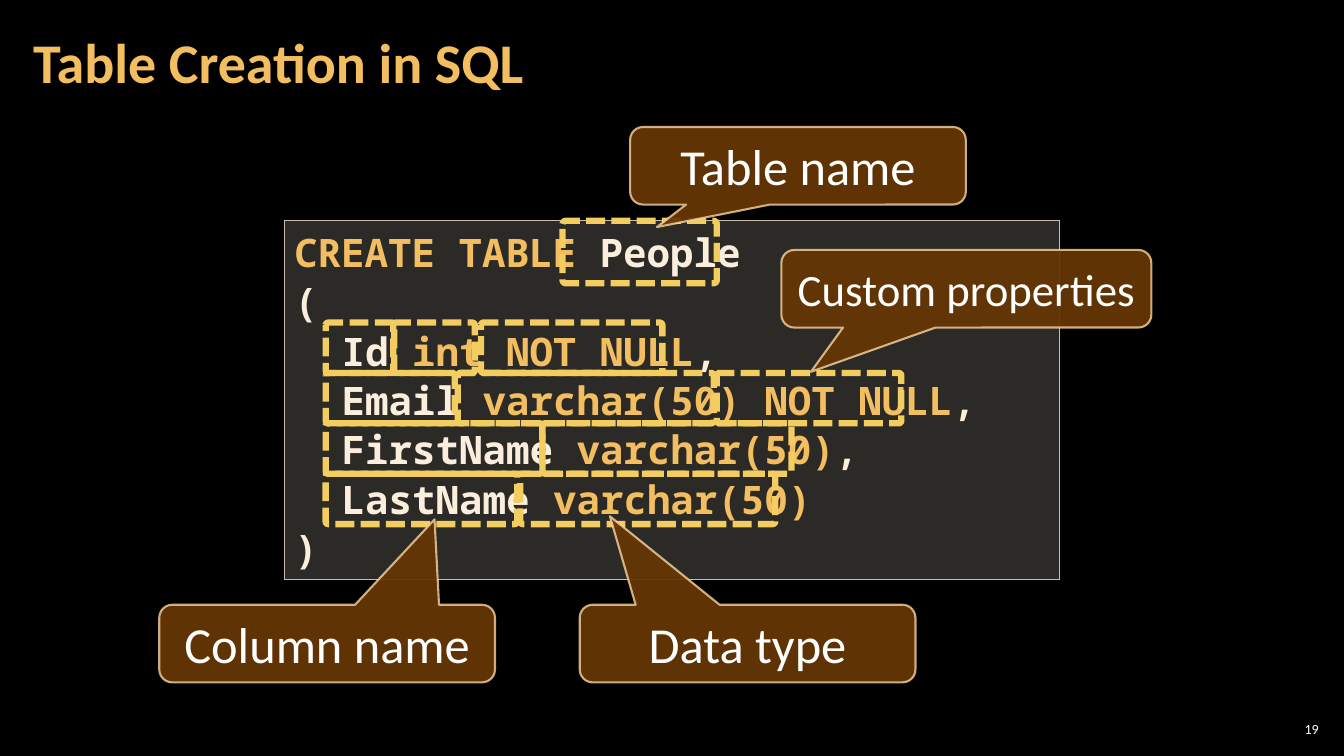
from lxml import etree
from pptx import Presentation, util as u
from pptx.dml.color import RGBColor
from pptx.enum import dml, shapes, text
from pptx.oxml.ns import qn

COLORS = {
    "background": "000000", "white": "FFFFFF", "keyword": "F3BE60",
    "name": "FBEEDC", "panel": "D9D5C7", "panel_line": "C7BFAC",
    "marker": "F3CD60", "callout": "663606", "callout_line": "F8D49E",
}


class SlideBuilder:
    body_font = "Calibri"
    code_font = "Noto Sans Mono"
    code_indent = u.Inches(0.47)

    def __init__(self, slide):
        self.slide = slide
        background = slide.background.fill
        background.solid()
        background.fore_color.rgb = self.color("background")

    def color(self, name):
        return RGBColor.from_string(COLORS[name])

    def paint(self, fill, color, opacity=100):
        fill.solid()
        fill.fore_color.rgb = self.color(color)
        if opacity < 100:
            element = fill._xPr.find(qn("a:solidFill"))[0]
            etree.SubElement(element, qn("a:alpha")).set("val", str(opacity * 1000))

    def format_run(self, run, size, color, font=None, bold=False):
        run.font.name = font or self.body_font
        run.font.size = u.Pt(size)
        run.font.bold = bold
        run.font.color.rgb = self.color(color)

    def shape(self, kind, left, top, width, height, line, line_width):
        shape = self.slide.shapes.add_shape(
            kind, *map(u.Inches, (left, top, width, height)))
        shape.shadow.inherit = False
        shape.line.width = u.Pt(line_width)
        self.paint(shape.line.fill, line)
        return shape

    def label(self, words, left, top, width, height, size, color, inset,
              bold=False, align=text.PP_ALIGN.LEFT):
        box = self.slide.shapes.add_textbox(
            *map(u.Inches, (left, top, width, height)))
        frame = box.text_frame
        frame.word_wrap = True
        frame.vertical_anchor = text.MSO_ANCHOR.MIDDLE
        frame.margin_left = frame.margin_right = u.Inches(inset)
        frame.margin_top = frame.margin_bottom = u.Inches(0.04)
        frame.text = words
        paragraph = frame.paragraphs[0]
        paragraph.alignment = align
        paragraph.line_spacing = 0.9
        self.format_run(paragraph.runs[0], size, color, bold=bold)

    def code(self, lines, left, top, width, height):
        panel = self.shape(shapes.MSO_SHAPE.RECTANGLE, left, top, width, height,
                           "panel_line", 1)
        self.paint(panel.fill, "panel", 20)
        frame = panel.text_frame
        frame.word_wrap = True
        frame.auto_size = text.MSO_AUTO_SIZE.SHAPE_TO_FIT_TEXT
        frame.vertical_anchor = text.MSO_ANCHOR.TOP
        frame.text = "\n".join("" for line in lines)
        for paragraph, (indent, parts) in zip(frame.paragraphs, lines):
            paragraph.alignment = text.PP_ALIGN.LEFT
            paragraph.line_spacing = 1.05
            if indent:
                properties = paragraph._p.get_or_add_pPr()
                properties.set("marL", str(self.code_indent))
                properties.set("indent", "0")
            for words, color in parts:
                run = paragraph.add_run()
                run.text = words
                self.format_run(run, 28, color, self.code_font, True)

    def marker(self, left, top, width, height):
        marker = self.shape(shapes.MSO_SHAPE.ROUNDED_RECTANGLE,
                            left, top, width, height, "marker", 4.5)
        marker.adjustments[0] = 0.05
        marker.fill.background()
        marker.line.dash_style = dml.MSO_LINE.SQUARE_DOT

    def callout(self, words, left, top, width, tip, size=36):
        callout = self.shape(shapes.MSO_SHAPE.ROUNDED_RECTANGULAR_CALLOUT,
                             left, top, width, 0.77, "callout_line", 1.5)
        self.paint(callout.fill, "callout", 95)
        self.paint(callout.line.fill, "callout_line", 80)
        callout.adjustments[0], callout.adjustments[1] = tip
        frame = callout.text_frame
        frame.word_wrap = True
        frame.vertical_anchor = text.MSO_ANCHOR.MIDDLE
        frame.text = words
        paragraph = frame.paragraphs[0]
        paragraph.alignment = text.PP_ALIGN.CENTER
        self.format_run(paragraph.runs[0], size, "white")


def column_line(name, definition, ending=","):
    parts = [(name + " ", "name"), (definition, "keyword")]
    if ending:
        parts.append((ending, "name"))
    return True, parts


def main():
    presentation = Presentation()
    presentation.slide_width = u.Inches(13.33)
    presentation.slide_height = u.Inches(7.5)
    builder = SlideBuilder(
        presentation.slides.add_slide(presentation.slide_layouts[6]))

    builder.label("19", 12.65, 7.14, 0.47, 0.21, 10, "white", 0.04,
                  align=text.PP_ALIGN.RIGHT)
    builder.label("Table Creation in SQL", 0.21, 0.04, 10.47, 1.21, 40,
                  "keyword", 0.12, bold=True)

    builder.code([
        (False, [("CREATE TABLE ", "keyword"), ("People", "name")]),
        (False, [("(", "name")]),
        column_line("Id", "int NOT NULL"),
        column_line("Email", "varchar(50) NOT NULL"),
        column_line("FirstName", "varchar(50)"),
        column_line("LastName", "varchar(50)", ""),
        (False, [(")", "name")]),
    ], 2.82, 2.19, 7.69, 3.56)

    builder.marker(5.58, 2.19, 1.53, 0.62)
    marker_rows = [
        [(3.23, 0.68), (3.9, 0.81), (4.77, 1.8)],
        [(3.23, 1.28), (4.54, 2.54), (7.11, 1.83)],
        [(3.23, 2.15), (5.38, 2.47)],
        [(3.23, 1.9), (5.16, 2.53)],
    ]
    row_height = 0.5
    for index, row in enumerate(marker_rows):
        for left, width in row:
            builder.marker(left, 3.2 + index * row_height, width, row_height)

    builder.callout("Table name", 6.25, 1.26, 3.33, (-0.42, 0.79))
    builder.callout("Column name", 1.58, 6, 3.33, (0.32, -1.6))
    builder.callout("Data type", 5.75, 6, 3.33, (-0.41, -1.64))
    builder.callout("Custom properties", 7.75, 2.48, 3.67, (-0.42, 1.07), 32)

    presentation.save("out.pptx")


if __name__ == "__main__":
    main()
